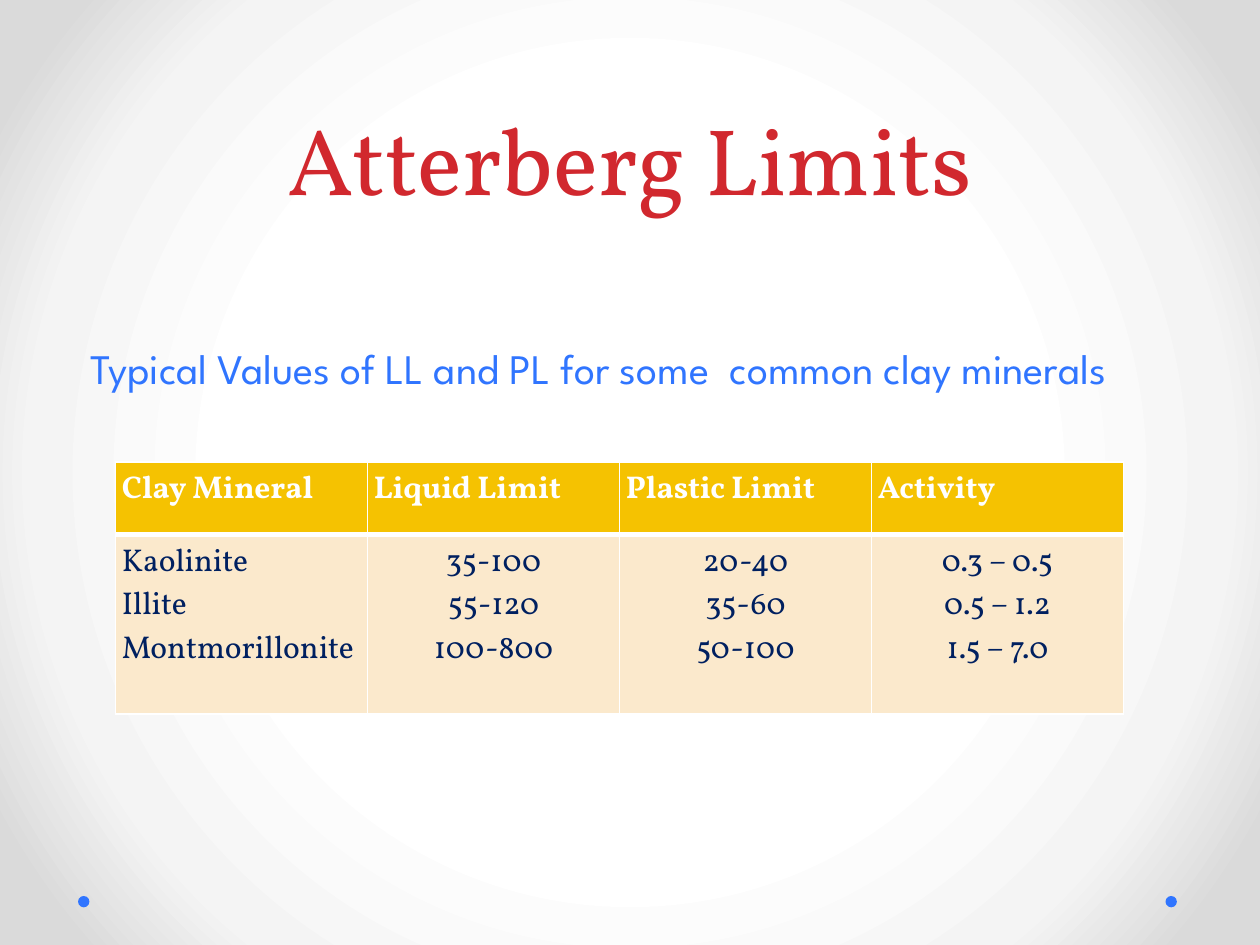
from lxml import etree
from pptx import Presentation
from pptx.dml.color import RGBColor
from pptx.enum.shapes import MSO_SHAPE
from pptx.enum.text import MSO_ANCHOR, MSO_AUTO_SIZE, PP_ALIGN
from pptx.oxml import parse_xml
from pptx.oxml.ns import qn
from pptx.util import Pt

OVAL = MSO_SHAPE.OVAL
BOTTOM = MSO_ANCHOR.BOTTOM
FIXED = MSO_AUTO_SIZE.NONE
LEFT, CENTER = PP_ALIGN.LEFT, PP_ALIGN.CENTER
NS = "http://schemas.openxmlformats.org/drawingml/2006/main"
BLUE = "3075FF"


def color(code):
    return RGBColor.from_string(code)


def style(para, face, size, code, align, bold=False):
    para.alignment = align
    font = para.font
    font.name, font.size, font.bold = face, Pt(size), bold
    font.color.rgb = color(code)


deck = Presentation()
deck.slide_width, deck.slide_height = Pt(720), Pt(540)
slide = deck.slides.add_slide(deck.slide_layouts[1])

slide.background.fill.gradient()
grad = next(slide.element.iter(qn("a:gradFill")))
stops = "".join(
    f'<a:gs pos="{spot}000"><a:srgbClr val="{code}"/></a:gs>'
    for spot, code in [(50, "FFFFFF"), (76, "F4F4F4"), (92, "DADADA")]
)
grad.getparent().replace(grad, parse_xml(
    f'<a:gradFill xmlns:a="{NS}" rotWithShape="1"><a:gsLst>{stops}</a:gsLst>'
    '<a:path path="circle"><a:fillToRect l="50000" t="50000" r="50000" b="50000"/>'
    "</a:path></a:gradFill>"
))

for x in (44.6, 666):
    dot = slide.shapes.add_shape(OVAL, Pt(x), Pt(512), Pt(6.5), Pt(6.5))
    dot.shadow.inherit = False
    dot.fill.solid()
    dot.fill.fore_color.rgb = color(BLUE)
    dot.line.fill.background()

title, body = slide.placeholders
texts = [
    (title, "Atterberg Limits", (36, 0, 648, 126), "Vollkorn", 54, "D1282E"),
    (body, "Typical Values of LL and PL for some  common clay minerals",
     (36, 156, 612, 72), "League Spartan", 24, BLUE),
]
for holder, words, area, face, size, code in texts:
    holder.left, holder.top, holder.width, holder.height = map(Pt, area)
    frame = holder.text_frame
    frame.text = words
    frame.word_wrap = True
    frame.auto_size = FIXED
    frame.vertical_anchor = BOTTOM
    para = frame.paragraphs[0]
    if holder is body:
        props = para._p.get_or_add_pPr()
        props.set("marL", "0")
        props.set("indent", "0")
        etree.SubElement(props, qn("a:buNone"))
    style(para, face, size, code, CENTER)
title.text_frame.paragraphs[0].line_spacing = Pt(58)

rows = [
    ["Clay Mineral", "Liquid Limit", "Plastic Limit", "Activity"],
    ["Kaolinite\nIllite\nMontmorillonite", "35-100\n55-120\n100-800",
     "20-40\n35-60\n50-100", "0.3 – 0.5\n0.5 – 1.2\n1.5 – 7.0"],
]
looks = [("F5C201", "FFFFFF", 1, 3), ("FBE9CC", "002060", 3, 1)]
table = slide.shapes.add_table(2, 4, Pt(66), Pt(264), Pt(576), Pt(144)).table
for row, high in zip(table.rows, (41.6, 102.4)):
    row.height = Pt(high)
for r, (row, (fill, ink, top, low)) in enumerate(zip(rows, looks)):
    for c, words in enumerate(row):
        cell = table.cell(r, c)
        cell.text = words
        cell.margin_left = cell.margin_right = Pt(3.6)
        cell.margin_top = cell.margin_bottom = Pt(3.6)
        for para in cell.text_frame.paragraphs:
            style(para, "Vollkorn", 18, ink, CENTER if r and c else LEFT, r == 0)
        props = cell._tc.get_or_add_tcPr()
        for side, wide in zip("LRTB", (1, 1, top, low)):
            props.append(parse_xml(
                f'<a:ln{side} xmlns:a="{NS}" w="{Pt(wide)}"><a:solidFill>'
                f'<a:srgbClr val="FFFFFF"/></a:solidFill></a:ln{side}>'
            ))
        cell.fill.solid()
        cell.fill.fore_color.rgb = color(fill)

deck.save("out.pptx")
